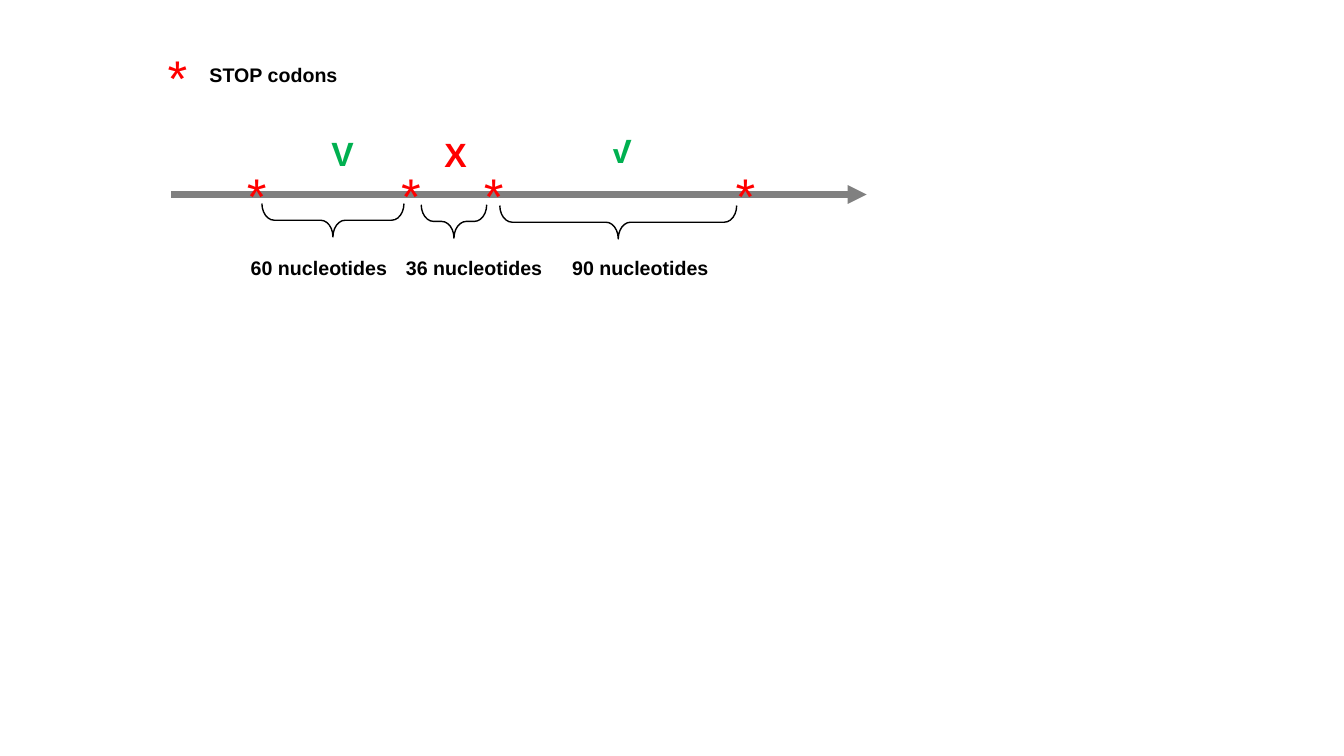
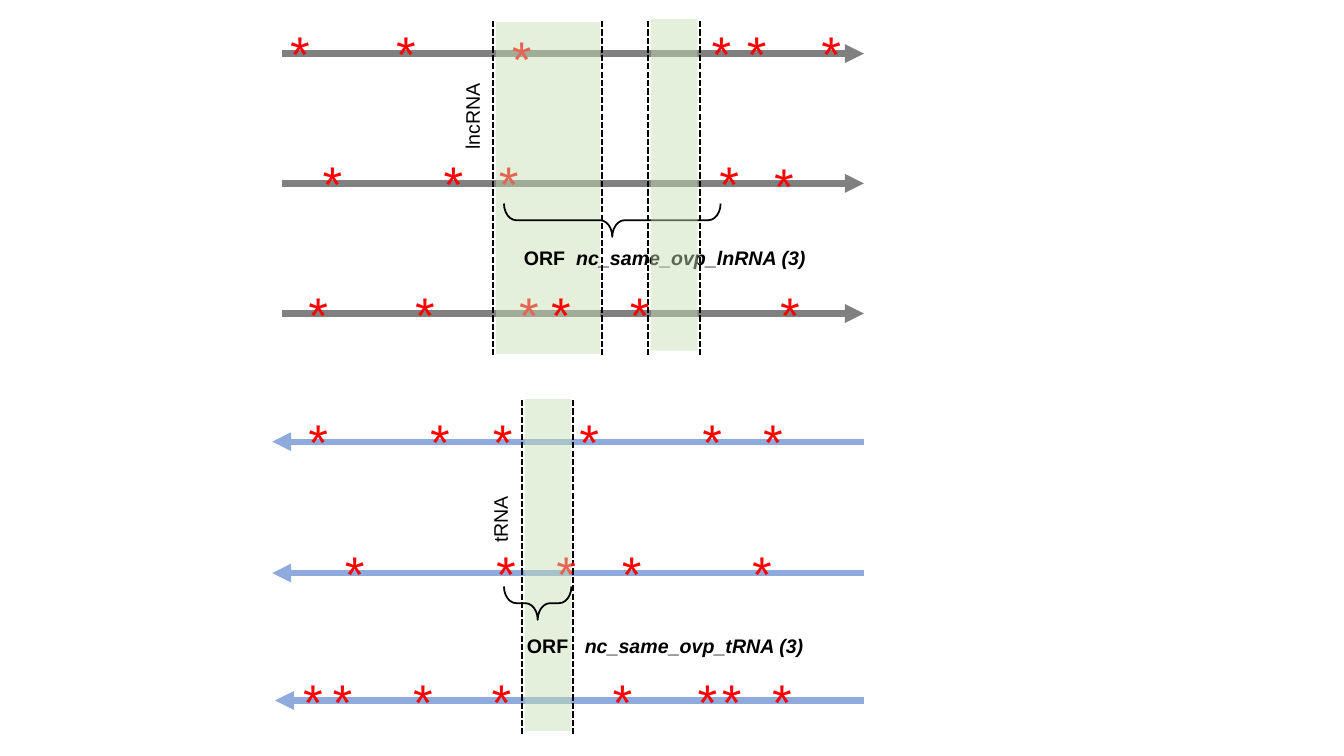
"""Build two slides on stop codons and open reading frames."""
import pptx
import pptx.dml.color
import pptx.enum.dml
import pptx.enum.shapes
import pptx.enum.text
import pptx.util
import lxml.etree

Cm = pptx.util.Cm
color = pptx.dml.color.RGBColor.from_string
SHAPES = pptx.enum.shapes.MSO_SHAPE
DRAWING = "{http://schemas.openxmlformats.org/drawingml/2006/main}"
BLACK, WHITE, RED, GREEN = "000000", "FFFFFF", "FF0000", "00B050"
GRAY, BLUE, TINT = "808080", "8FAADC", "C5E0B4"


def add_text(slide, text, left, top, width, height=0.86, size=14, font="Arial",
             fill=BLACK, bold=False, turn=0, italic_text="", gap=0):
    box = slide.shapes.add_textbox(Cm(left), Cm(top), Cm(width), Cm(height))
    box.rotation = turn
    box.text_frame.word_wrap = False
    box.text_frame.auto_size = pptx.enum.text.MSO_AUTO_SIZE.SHAPE_TO_FIT_TEXT
    para = box.text_frame.paragraphs[0]
    parts = [(text, False)]
    if italic_text:
        parts += [(" ", False), (italic_text, True)]
    for words, italic in parts:
        span = para.add_run()
        span.text = words
        span.font.size = pptx.util.Pt(size)
        span.font.name = font
        span.font.bold = bold
        span.font.italic = italic
        span.font.color.rgb = color(fill)
        if words == " ":
            span.font._element.set("spc", str(gap))


def add_block(slide, kind, left, top, width, height, fill=None, alpha=100, weight=0):
    block = slide.shapes.add_shape(kind, Cm(left), Cm(top), Cm(width), Cm(height))
    block.shadow.inherit = False
    if fill:
        block.fill.solid()
        block.fill.fore_color.rgb = color(fill)
        if alpha < 100:
            shade = block.fill._xPr.find(f"{DRAWING}solidFill")[0]
            lxml.etree.SubElement(shade, f"{DRAWING}alpha", val=str(alpha * 1000))
    else:
        block.fill.background()
    if weight:
        block.line.color.rgb = color(BLACK)
        block.line.width = pptx.util.Pt(weight)
    else:
        block.line.fill.background()
    return block


deck = pptx.Presentation()
deck.slide_width, deck.slide_height = Cm(33.87), Cm(19.05)
distances, overlaps = [deck.slides.add_slide(deck.slide_layouts[6]) for _ in range(2)]

lines = [(distances, 4.32, 4.9, 21.84, 4.9, GRAY)]
lines += [(overlaps, 7.11, y, 21.77, y, GRAY) for y in (1.35, 4.62, 7.9)]
lines += [(overlaps, 21.77, y, tip, y, BLUE)
          for y, tip in ((11.13, 6.86), (14.44, 6.86), (17.65, 6.93))]
lines += [(overlaps, x, 0.53, x, 8.99, BLACK) for x in (12.42, 15.16, 16.33, 17.63)]
lines += [(overlaps, x, 10.08, x, 18.54, BLACK) for x in (13.16, 14.43)]
for slide, x1, y1, x2, y2, stroke in lines:
    line = slide.shapes.add_connector(
        pptx.enum.shapes.MSO_CONNECTOR.STRAIGHT, Cm(x1), Cm(y1), Cm(x2), Cm(y2))
    line.line.color.rgb = color(stroke)
    if stroke == BLACK:
        line.line.width = pptx.util.Pt(1.5)
        line.line.dash_style = pptx.enum.dml.MSO_LINE.SQUARE_DOT
    else:
        line.line.width = pptx.util.Pt(4.5)
        lxml.etree.SubElement(line.line._ln, f"{DRAWING}tailEnd", type="triangle")
    lxml.etree.SubElement(line._element.spPr, f"{DRAWING}effectLst")

stop_rows = [
    (distances, 1.09, [3.84]),
    (distances, 4.06, [5.84, 9.73, 11.81, 18.16]),
    (overlaps, 0.48, [6.93, 9.6, 17.55, 18.44, 20.32]),
    (overlaps, 0.61, [12.52]),
    (overlaps, 3.76, [7.75, 10.8, 12.19, 17.75]),
    (overlaps, 3.81, [19.13]),
    (overlaps, 7.06, [7.39, 10.08, 12.7, 15.49, 19.28]),
    (overlaps, 10.26, [7.39, 10.46, 12.04, 14.22, 17.32, 18.85]),
    (overlaps, 13.59, [8.31, 12.12, 13.64, 15.29, 18.57]),
    (overlaps, 16.81, [7.26, 8, 10.03, 12.01, 15.06, 17.2, 17.81, 19.08]),
]
star = dict(width=1.3, height=1.8, size=36, font="Courier New", fill=RED)
for slide, top, lefts in stop_rows:
    for left in lefts:
        add_text(slide, "*", left, top, **star)

for left, top, width in ((12.5, 0.56, 2.62), (13.23, 10.06, 1.17)):
    add_block(overlaps, SHAPES.RECTANGLE, left, top, width, 8.36, fill=TINT, alpha=46)
add_text(overlaps, "*", 13.51, 7.06, **star)

braces = [
    (distances, 8.39, 5.55, 3.58, 1),
    (distances, 11.44, 5.58, 1.65, 1),
    (distances, 15.58, 5.6, 5.97, 1),
    (overlaps, 15.43, 5.55, 5.46, 1.25),
    (overlaps, 13.55, 15.2, 1.7, 1.25),
]
for slide, center_x, center_y, reach, weight in braces:
    brace = add_block(slide, SHAPES.RIGHT_BRACE, center_x - 0.42, center_y - reach / 2,
                      0.84, reach, weight=weight)
    brace.rotation = 90
    brace.adjustments[0] = 0.37

add_text(distances, "STOP codons", 5.03, 1.45, 3.76, bold=True)
for count, left in ((60, 6.07), (36, 9.98), (90, 14.17)):
    add_text(distances, f"{count} nucleotides", left, 6.32, 3.96, bold=True)
for mark, left, top, fill in (("V", 8.1, 3.23, GREEN), ("X", 10.95, 3.25, RED),
                              ("V", 15.11, 3.15, GREEN)):
    add_text(distances, mark, left, top, 1.09, 1.27, size=24, fill=fill, bold=True)
add_block(distances, SHAPES.RECTANGLE, 15.11, 3.07, 0.56, 0.69, fill=WHITE)

add_text(overlaps, "lncRNA", 10.8, 2.49, 2.21, turn=270)
add_text(overlaps, "tRNA", 11.76, 12.65, 1.7, turn=270)
add_text(overlaps, "ORF", 12.95, 6.07, 7.65, bold=True,
         italic_text="nc_same_ovp_lnRNA (3)", gap=390)
add_text(overlaps, "ORF", 13.03, 15.85, 7.52, bold=True,
         italic_text="nc_same_ovp_tRNA (3)", gap=780)
add_block(overlaps, SHAPES.RECTANGLE, 16.41, 0.48, 1.17, 8.36, fill=TINT, alpha=46)

deck.save("out.pptx")
